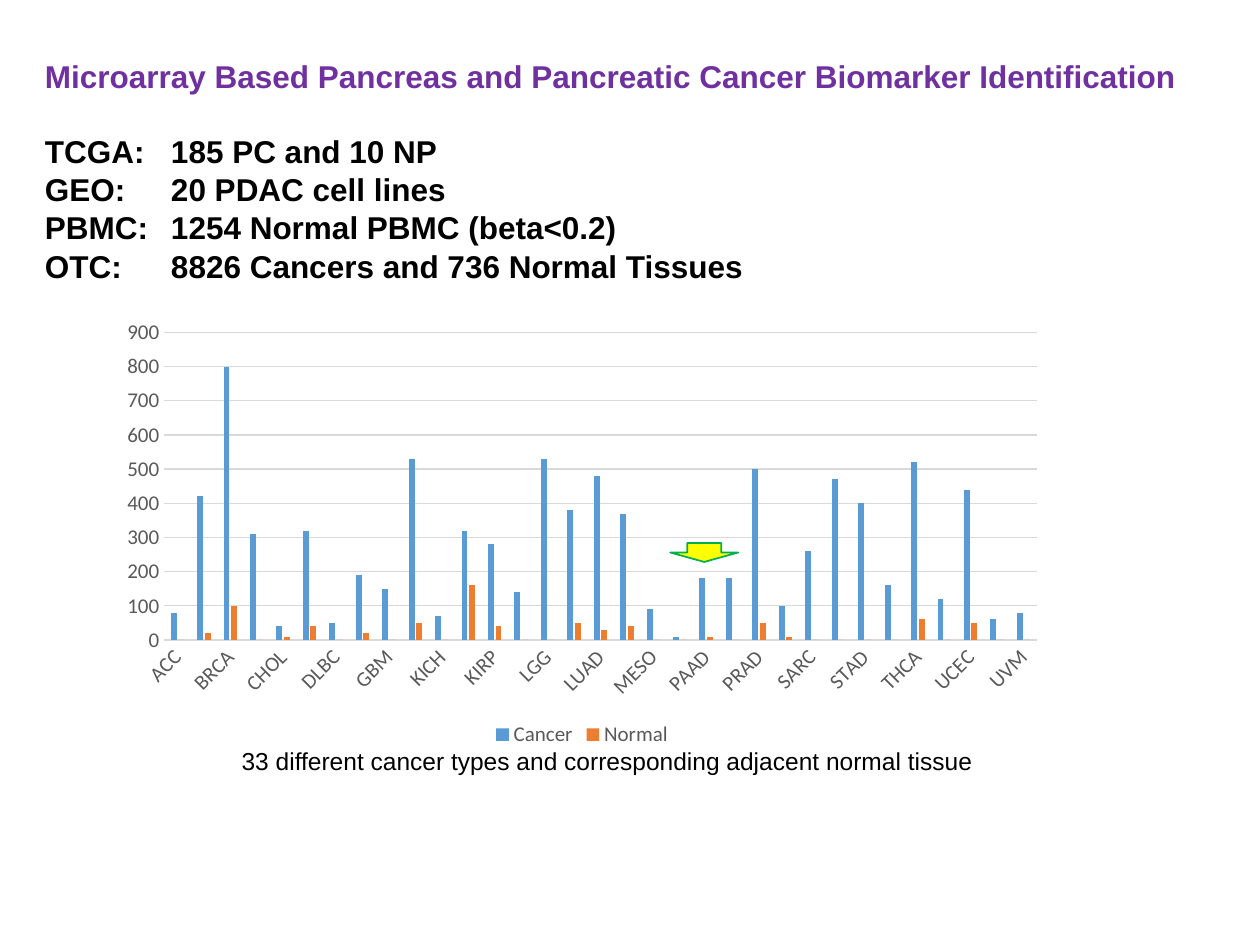
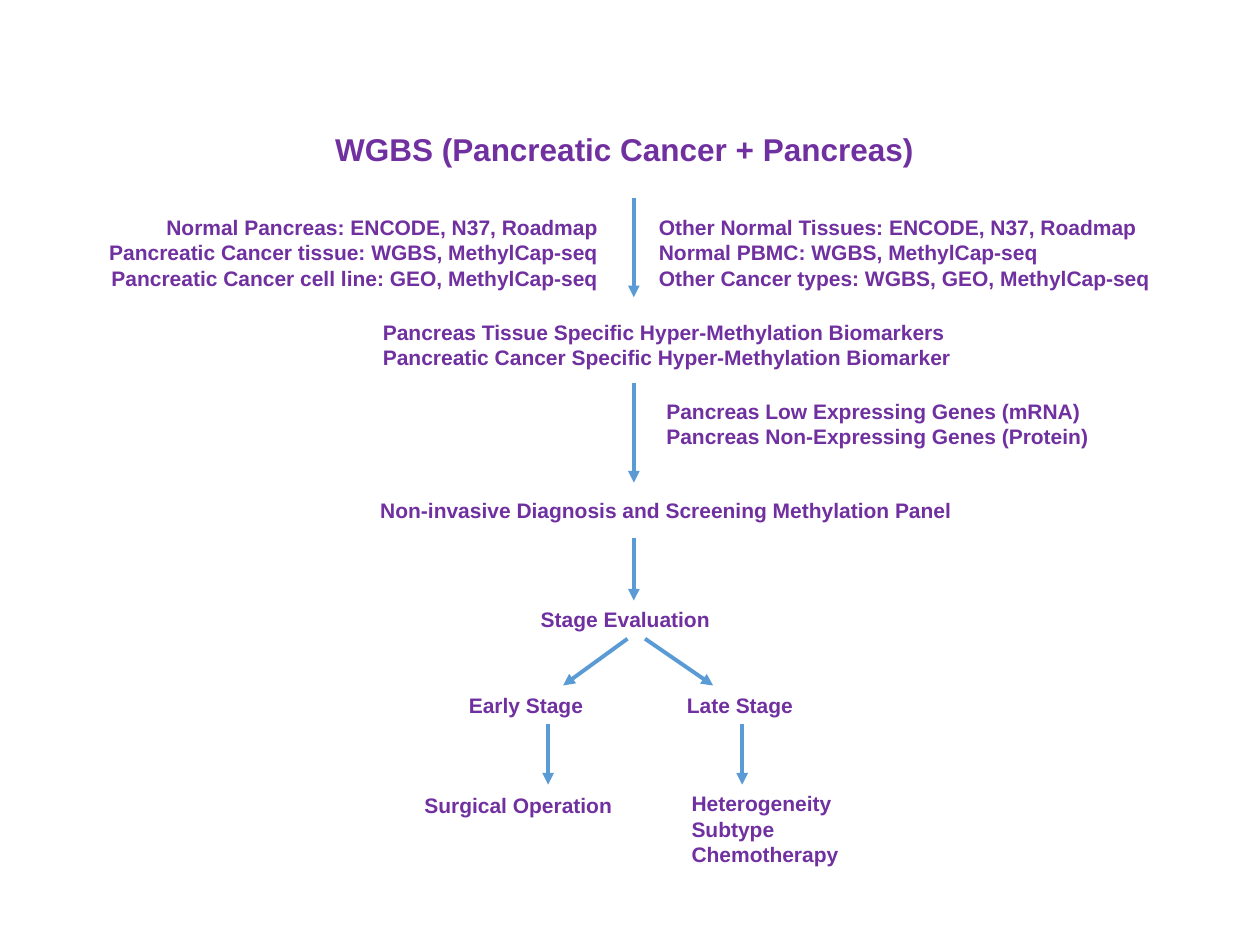
from dataclasses import dataclass

from lxml.etree import SubElement
from pptx import Presentation
from pptx.chart.data import CategoryChartData
from pptx.dml.color import RGBColor
from pptx.enum.chart import XL_CHART_TYPE as ChartType
from pptx.enum.chart import XL_LEGEND_POSITION as LegendPosition
from pptx.enum.chart import XL_TICK_MARK as TickMark
from pptx.enum.shapes import MSO_CONNECTOR as Connector
from pptx.enum.shapes import MSO_SHAPE as Shape
from pptx.enum.text import MSO_ANCHOR as Anchor
from pptx.enum.text import MSO_AUTO_SIZE as AutoSize
from pptx.enum.text import PP_ALIGN as Align
from pptx.oxml import parse_xml
from pptx.oxml.ns import nsdecls, qn
from pptx.util import Pt


@dataclass(frozen=True)
class Theme:
    font: str = "Arial"
    chart_font: str = "Calibri"
    purple: str = "7030A0"
    black: str = "000000"
    blue: str = "5B9BD5"
    orange: str = "ED7D31"
    yellow: str = "FFFF00"
    green: str = "00B050"
    axis_text: str = "595959"
    grid: str = "D9D9D9"
    title_size: float = 18
    caption_size: float = 14
    body_size: float = 12
    leading: float = 1.21


THEME = Theme()

COHORT_TITLE = "Microarray Based Pancreas and Pancreatic Cancer Biomarker Identification"
COHORTS = [
    "TCGA:\t185 PC and 10 NP",
    "GEO:\t20 PDAC cell lines",
    "PBMC:\t1254 Normal PBMC (beta<0.2)",
    "OTC:\t8826 Cancers and 736 Normal Tissues",
]
CAPTION = "33 different cancer types and corresponding adjacent normal tissue"
CANCER_TYPES = (
    "ACC BLCA BRCA CESC CHOL COAD DLBC ESCA GBM HNSC KICH KIRC KIRP LAML LGG LIHC LUAD "
    "LUSC MESO OV PAAD PCPG PRAD READ SARC SKCM STAD TGCT THCA THYM UCEC UCS UVM"
).split()
SAMPLES = {
    "Cancer": (80, 420, 800, 310, 40, 320, 50, 190, 150, 530, 70, 320, 280, 140, 530, 380, 480,
               370, 90, 10, 180, 180, 500, 100, 260, 470, 400, 160, 520, 120, 440, 60, 80),
    "Normal": (0, 20, 100, 0, 10, 40, 0, 20, 0, 50, 0, 160, 40, 0, 0, 50, 30,
               40, 0, 0, 10, 0, 50, 10, 0, 0, 0, 0, 60, 0, 50, 0, 0),
}

WORKFLOW_TITLE = "WGBS (Pancreatic Cancer + Pancreas)"
TARGET_DATA = [
    "Normal Pancreas: ENCODE, N37, Roadmap",
    "Pancreatic Cancer tissue: WGBS, MethylCap-seq",
    "Pancreatic Cancer cell line: GEO, MethylCap-seq",
]
WORKFLOW_STEPS = [
    ((369.4, 118.8, 302.4), [
        "Other Normal Tissues: ENCODE, N37, Roadmap",
        "Normal PBMC: WGBS, MethylCap-seq",
        "Other Cancer types: WGBS, GEO, MethylCap-seq",
    ]),
    ((211.7, 178.8, 342), [
        "Pancreas Tissue Specific Hyper-Methylation Biomarkers",
        "Pancreatic Cancer Specific Hyper-Methylation Biomarker",
    ]),
    ((373.7, 223.9, 330), [
        "Pancreas Low Expressing Genes (mRNA)",
        "Pancreas Non-Expressing Genes (Protein)",
    ]),
    ((210.2, 280.8, 345), ["Non-invasive Diagnosis and Screening Methylation Panel"]),
    ((301.9, 343.2, 135.4), ["Stage Evaluation"]),
    ((260.8, 392, 90), ["Early Stage"]),
    ((385.4, 392, 90), ["Late Stage"]),
    ((235.4, 449.3, 123.1), ["Surgical Operation"]),
    ((388.1, 448.2, 103), ["Heterogeneity", "Subtype", "Chemotherapy"]),
]
TRUNK_X, EARLY_X, LATE_X = 362.2, 313.2, 424.1
WORKFLOW_ARROWS = [
    (TRUNK_X, 113, TRUNK_X, 169.9),
    (TRUNK_X, 218.9, TRUNK_X, 275.8),
    (TRUNK_X, 307.4, TRUNK_X, 343.2),
    (358.6, 365, 321.8, 391.7),
    (368.6, 365, 407.5, 391.7),
    (EARLY_X, 413.8, EARLY_X, 448.4),
    (LATE_X, 413.8, LATE_X, 448.4),
]


def rgb(value):
    return RGBColor.from_string(value)


def style_font(font, size, color, face=THEME.font, bold=False):
    font.name, font.size, font.bold = face, Pt(size), bold
    font.color.rgb = rgb(color)


def write(holder, place, lines, size=THEME.body_size, color=THEME.purple,
          bold=True, align=Align.LEFT):
    left, top, width = place
    pitch = round(size * THEME.leading, 2)
    holder.left, holder.top, holder.width = Pt(left), Pt(top), Pt(width)
    holder.height = Pt(len(lines) * pitch + 7.2)
    frame = holder.text_frame
    frame.word_wrap, frame.auto_size = True, AutoSize.NONE
    frame.vertical_anchor = Anchor.TOP
    for index, line in enumerate(lines):
        paragraph = frame.add_paragraph() if index else frame.paragraphs[0]
        props = paragraph._p.get_or_add_pPr()
        props.set("marL", "0")
        props.set("indent", "0")
        SubElement(props, qn("a:buNone"))
        paragraph.alignment = align
        paragraph.line_spacing = Pt(pitch)
        paragraph.space_before = paragraph.space_after = Pt(0)
        run = paragraph.add_run()
        run.text = line
        style_font(run.font, size, color, bold=bold)


def add_text(slide, place, lines, **style):
    write(slide.shapes.add_textbox(0, 0, 0, 0), place, lines, **style)


def add_titled_slide(deck, layout, title, place):
    slide = deck.slides.add_slide(deck.slide_layouts[layout])
    write(slide.shapes.title, place, [title], size=THEME.title_size)
    return slide


def add_arrow(slide, ends):
    arrow = slide.shapes.add_connector(Connector.STRAIGHT, *map(Pt, ends))
    arrow.line.color.rgb = rgb(THEME.blue)
    arrow.line.width = Pt(2.25)
    SubElement(arrow.line._ln, qn("a:tailEnd"), type="triangle")
    SubElement(arrow._element.spPr, qn("a:effectLst"))


def add_sample_chart(slide):
    data = CategoryChartData()
    data.categories = CANCER_TYPES
    for name, counts in SAMPLES.items():
        data.add_series(name, counts)
    chart = slide.shapes.add_chart(
        ChartType.COLUMN_CLUSTERED, Pt(61.9), Pt(177.8), Pt(541.4), Pt(252), data).chart
    chart.has_title = False
    style_font(chart.font, THEME.body_size, THEME.axis_text, THEME.chart_font)

    plot = chart.plots[0]
    plot.gap_width, plot.overlap, plot.vary_by_categories = 219, -27, False
    for series, color in zip(plot.series, (THEME.blue, THEME.orange)):
        series.format.fill.solid()
        series.format.fill.fore_color.rgb = rgb(color)

    types, counts = chart.category_axis, chart.value_axis
    for axis in (types, counts):
        axis.major_tick_mark = axis.minor_tick_mark = TickMark.NONE
        style_font(axis.tick_labels.font, THEME.body_size, THEME.axis_text, THEME.chart_font)
    types._element.txPr.bodyPr.set("rot", "-2700000")
    types._element.find(qn("c:noMultiLvlLbl")).addprevious(
        parse_xml(f'<c:tickLblSkip {nsdecls("c")} val="2"/>'))
    counts.minimum_scale, counts.maximum_scale, counts.major_unit = 0, 900, 100
    counts.format.line.fill.background()
    counts.has_major_gridlines = True
    for line in (types.format.line, counts.major_gridlines.format.line):
        line.color.rgb = rgb(THEME.grid)
        line.width = Pt(0.75)

    chart.has_legend = True
    chart.legend.position = LegendPosition.BOTTOM
    chart.legend.include_in_layout = False
    style_font(chart.legend.font, THEME.body_size, THEME.axis_text, THEME.chart_font)


def add_pancreas_marker(slide):
    marker = slide.shapes.add_shape(Shape.DOWN_ARROW, Pt(383), Pt(310.3), Pt(38.9), Pt(10.8))
    marker.shadow.inherit = False
    marker.fill.solid()
    marker.fill.fore_color.rgb = rgb(THEME.yellow)
    marker.line.color.rgb = rgb(THEME.green)
    marker.line.width = Pt(1)


def build_cohorts(deck):
    slide = add_titled_slide(deck, 1, COHORT_TITLE, (18.5, 28.8, 666.7))
    write(slide.placeholders[1], (18.5, 71.8, 666.7), COHORTS,
          size=THEME.title_size, color=THEME.black)
    add_sample_chart(slide)
    add_pancreas_marker(slide)
    add_text(slide, (131, 422.6, 473), [CAPTION],
             size=THEME.caption_size, color=THEME.black, bold=False)


def build_workflow(deck):
    slide = add_titled_slide(deck, 5, WORKFLOW_TITLE, (184.3, 70.6, 385.2))
    add_text(slide, (52.3, 118.8, 296.6), TARGET_DATA, align=Align.RIGHT)
    for place, lines in WORKFLOW_STEPS:
        add_text(slide, place, lines)
    for ends in WORKFLOW_ARROWS:
        add_arrow(slide, ends)


def main():
    deck = Presentation()
    deck.slide_width, deck.slide_height = Pt(720), Pt(540)
    build_cohorts(deck)
    build_workflow(deck)
    deck.save("out.pptx")


if __name__ == "__main__":
    main()
